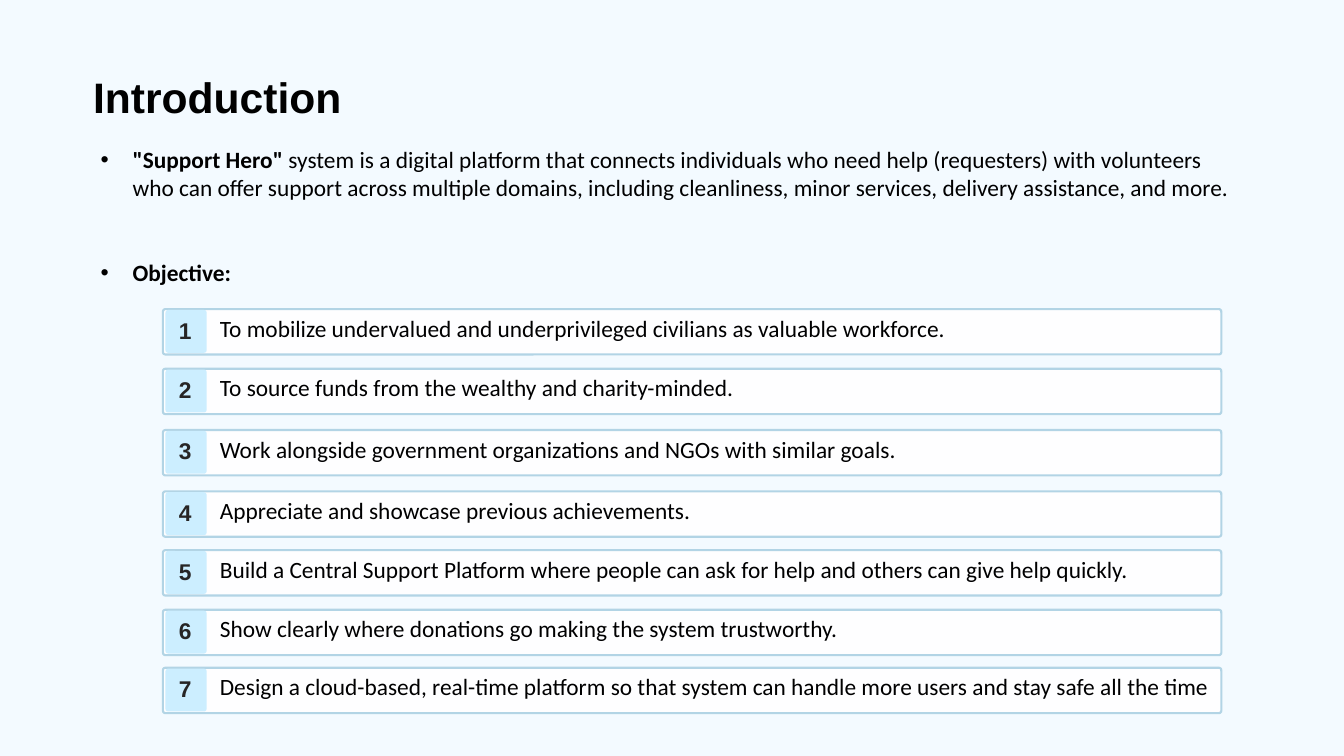
"""Build the Introduction slide with its numbered list of objectives."""
from dataclasses import dataclass

from lxml import etree
from pptx import Presentation
from pptx.dml.color import RGBColor
from pptx.enum.shapes import MSO_SHAPE
from pptx.enum.text import MSO_ANCHOR, PP_ALIGN
from pptx.oxml.ns import qn
from pptx.util import Inches, Pt

ROUND = MSO_SHAPE.ROUNDED_RECTANGLE
TOP = MSO_ANCHOR.TOP
LEFT = PP_ALIGN.LEFT
WIDE, HIGH = Inches(16), Inches(9)
COLS, ROWS = 16, 9


@dataclass(frozen=True)
class Theme:
    back: str = "F3FAFF"
    card: str = "FFFFFF"
    edge: str = "B2D4E5"
    badge: str = "CCEEFF"
    ink: str = "000000"
    digit: str = "272525"
    head: str = "Arial"
    body: str = "Calibri"
    title: float = 36.5
    text: float = 20
    count: float = 19.5


@dataclass(frozen=True)
class Box:
    col: float
    row: float
    cols: float
    rows: float

    def spot(self) -> tuple[int, int, int, int]:
        return (int(self.col * WIDE / COLS), int(self.row * HIGH / ROWS),
                int(self.cols * WIDE / COLS), int(self.rows * HIGH / ROWS))


@dataclass(frozen=True)
class Goal:
    row: float
    text: str


THEME = Theme()
TITLE = {"name": THEME.head, "size": Pt(THEME.title), "bold": True}
BODY = {"name": THEME.body, "size": Pt(THEME.text), "bold": False}
STRONG = {**BODY, "bold": True}
COUNT = {"name": THEME.head, "size": Pt(THEME.count), "bold": True}
GOALS = [
    Goal(3.68, "To mobilize undervalued and underprivileged civilians as valuable workforce."),
    Goal(4.39, "To source funds from the wealthy and charity-minded."),
    Goal(5.12, "Work alongside government organizations and NGOs with similar goals."),
    Goal(5.85, "Appreciate and showcase previous achievements."),
    Goal(6.55, "Build a Central Support Platform where people can ask for help and others can give help quickly."),
    Goal(7.26, "Show clearly where donations go making the system trustworthy."),
    Goal(7.95, "Design a cloud-based, real-time platform so that system can handle more users and stay safe all the time"),
]


def write(para, text: str, style: dict, ink: str = THEME.ink) -> None:
    """Add one styled run to a paragraph."""
    run = para.add_run()
    run.text = text
    for key, value in style.items():
        setattr(run.font, key, value)
    run.font.color.rgb = RGBColor.from_string(ink)


def frame(slide, box: Box):
    """Add a wrapping text box and return its text frame."""
    area = slide.shapes.add_textbox(*box.spot()).text_frame
    area.word_wrap = True
    return area


def label(slide, box: Box, text: str, style: dict, pitch: float, ink: str) -> None:
    """Add a line of text without insets."""
    area = frame(slide, box)
    for side in ("left", "top", "right", "bottom"):
        setattr(area, f"margin_{side}", 0)
    para = area.paragraphs[0]
    para.line_spacing = Pt(pitch)
    write(para, text, style, ink)


def bullet(para) -> None:
    """Give a paragraph a hanging bullet."""
    props = para._p.get_or_add_pPr()
    props.set("marL", str(Inches(0.38)))
    props.set("indent", str(-Inches(0.38)))
    etree.SubElement(props, qn("a:buFont"), typeface=THEME.head)
    etree.SubElement(props, qn("a:buChar"), char="•")


def panel(slide, box: Box, fill: str, bend: float):
    """Add a plain rounded rectangle."""
    shape = slide.shapes.add_shape(ROUND, *box.spot())
    shape.shadow.inherit = False
    shape.adjustments[0] = bend
    shape.fill.solid()
    shape.fill.fore_color.rgb = RGBColor.from_string(fill)
    shape.line.fill.background()
    return shape


def card(slide, goal: Goal, count: int) -> None:
    """Draw one numbered objective."""
    shape = panel(slide, Box(1.94, goal.row, 12.6, 0.54), THEME.card, 0.052)
    tint = shape.fill._xPr.find(".//" + qn("a:srgbClr"))
    etree.SubElement(tint, qn("a:alpha"), val="95000")
    shape.line.color.rgb = RGBColor.from_string(THEME.edge)
    shape.line.width = Pt(1.8)
    area = shape.text_frame
    area.word_wrap = True
    area.vertical_anchor = TOP
    area.margin_left = Inches(0.67)
    area.paragraphs[0].alignment = LEFT
    write(area.paragraphs[0], goal.text, BODY)
    panel(slide, Box(1.97, goal.row + 0.01, 0.49, 0.51), THEME.badge, 0.064)
    label(slide, Box(2.13, goal.row + 0.14, 0.27, 0.34), str(count), COUNT,
          THEME.count, THEME.digit)


def intro(slide) -> None:
    """Write the two bulleted paragraphs."""
    area = frame(slide, Box(1.1, 1.68, 13.81, 7.17))
    first, second = area.paragraphs[0], area.add_paragraph()
    second.space_before = Pt(48.8)
    for para in (first, second):
        bullet(para)
    write(first, '"Support Hero"', STRONG)
    write(first, " system is a digital platform that connects individuals who need help "
          "(requesters) with volunteers who can offer support across multiple domains, "
          "including cleanliness, minor services, delivery assistance, and more.", BODY)
    write(second, "Objective:", STRONG)


def main() -> None:
    """Build and save the deck."""
    deck = Presentation()
    deck.slide_width, deck.slide_height = WIDE, HIGH
    slide = deck.slides.add_slide(deck.slide_layouts[6])
    slide.background.fill.solid()
    slide.background.fill.fore_color.rgb = RGBColor.from_string(THEME.back)
    label(slide, Box(1.11, 0.81, 5.13, 0.64), "Introduction", TITLE, 46, THEME.ink)
    intro(slide)
    for count, goal in enumerate(GOALS, 1):
        card(slide, goal, count)
    deck.save("out.pptx")


if __name__ == "__main__":
    main()
